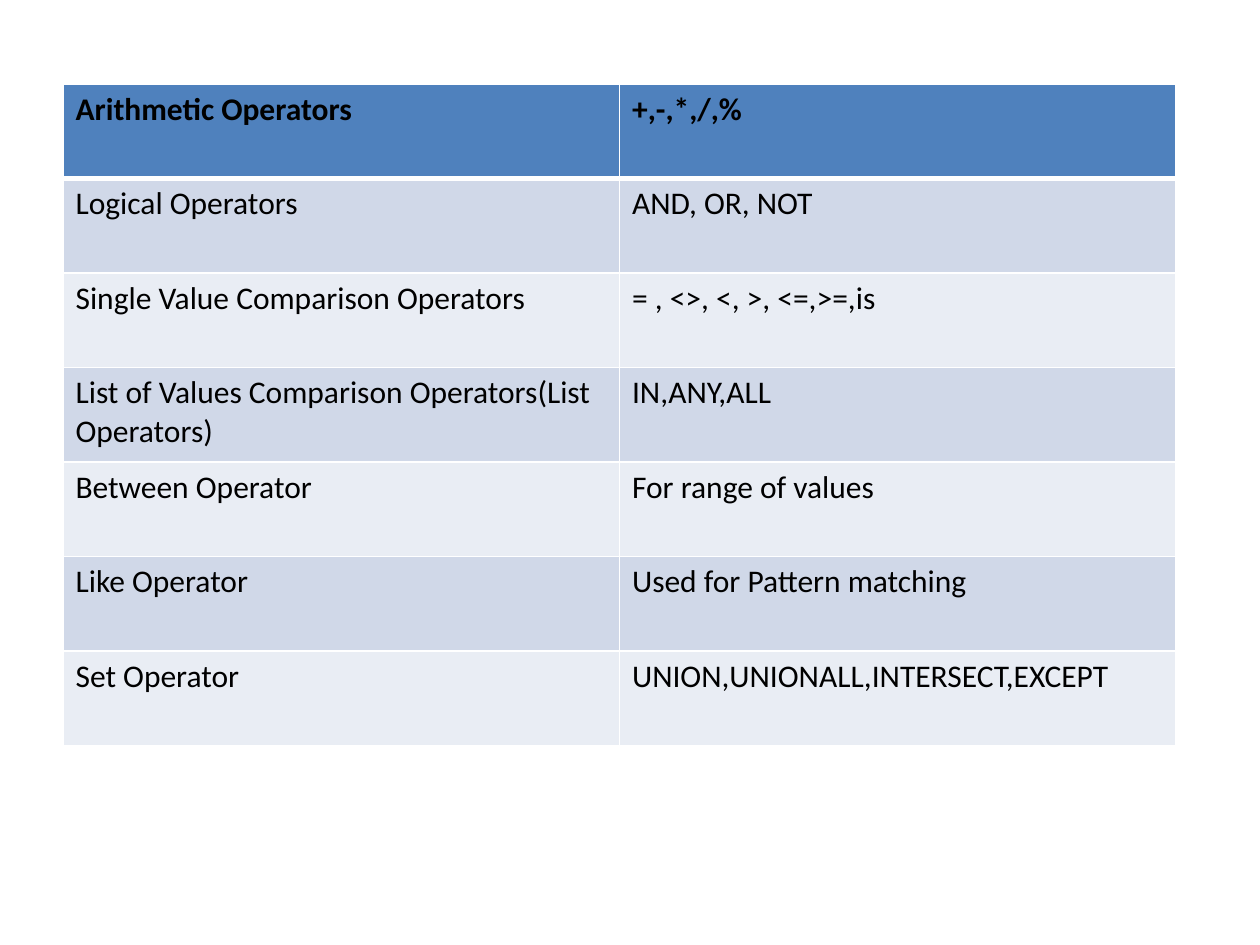
from dataclasses import dataclass

from lxml.etree import SubElement
from pptx import Presentation
from pptx.dml.color import RGBColor as RGB
from pptx.oxml.ns import qn
from pptx.table import _Cell as Cell
from pptx.util import Pt

COLORS = {
    "header": "4F81BD",
    "odd": "D0D8E8",
    "even": "E9EDF4",
    "border": "FFFFFF",
    "text": "000000",
}
FONT = "Calibri"
ROW_HEIGHT = 54
COLUMN_WIDTH = 318


@dataclass
class Operator:
    name: str
    usage: str


OPERATORS = [
    Operator("Arithmetic Operators", "+,-,*,/,%"),
    Operator("Logical Operators", "AND, OR, NOT"),
    Operator("Single Value Comparison Operators", "= , <>, <, >, <=,>=,is"),
    Operator("List of Values Comparison Operators(List Operators)", "IN,ANY,ALL"),
    Operator("Between Operator", "For range of values"),
    Operator("Like Operator", "Used for Pattern matching"),
    Operator("Set Operator", "UNION,UNIONALL,INTERSECT,EXCEPT"),
]


def set_borders(cell: Cell, top: float, bottom: float) -> None:
    tc_pr = cell._tc.get_or_add_tcPr()
    for side, width in (("L", 1), ("R", 1), ("T", top), ("B", bottom)):
        ln = SubElement(tc_pr, qn(f"a:ln{side}"), w=str(Pt(width)))
        fill = SubElement(ln, qn("a:solidFill"))
        SubElement(fill, qn("a:srgbClr"), val=COLORS["border"])


def fill_cell(cell: Cell, text: str, row: int) -> None:
    set_borders(cell, top=3 if row == 1 else 1, bottom=3 if row == 0 else 1)
    shade = "header" if row == 0 else "odd" if row % 2 else "even"
    cell.fill.solid()
    cell.fill.fore_color.rgb = RGB.from_string(COLORS[shade])
    cell.text_frame.text = text
    font = cell.text_frame.paragraphs[0].runs[0].font
    font.name = FONT
    font.size = Pt(18)
    font.bold = row == 0
    font.color.rgb = RGB.from_string(COLORS["text"])


prs = Presentation()
prs.slide_width, prs.slide_height = Pt(720), Pt(540)
s = prs.slides.add_slide(prs.slide_layouts[6])

table = s.shapes.add_table(
    len(OPERATORS), 2, Pt(36), Pt(48),
    Pt(2 * COLUMN_WIDTH), Pt(len(OPERATORS) * ROW_HEIGHT),
).table
for column in table.columns:
    column.width = Pt(COLUMN_WIDTH)
for i, operator in enumerate(OPERATORS):
    table.rows[i].height = Pt(ROW_HEIGHT)
    for j, text in enumerate((operator.name, operator.usage)):
        fill_cell(table.cell(i, j), text, i)

prs.save("out.pptx")
